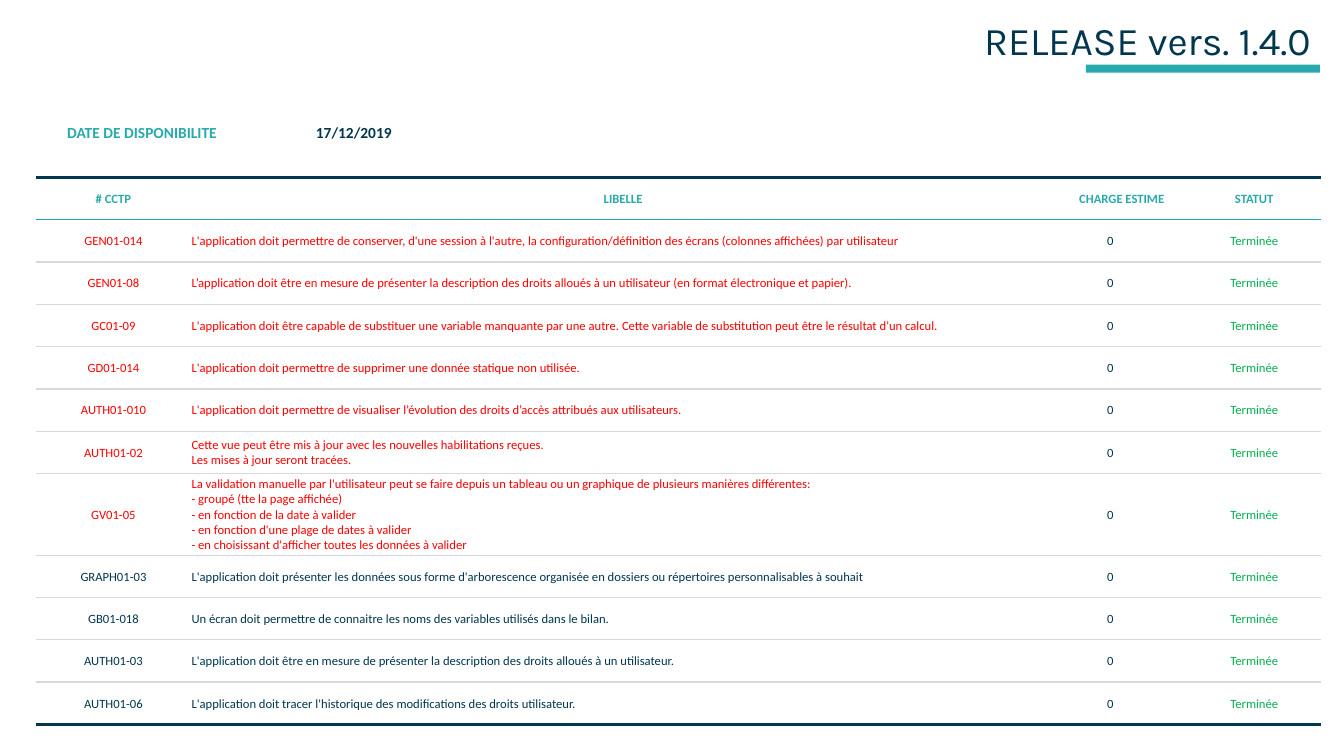
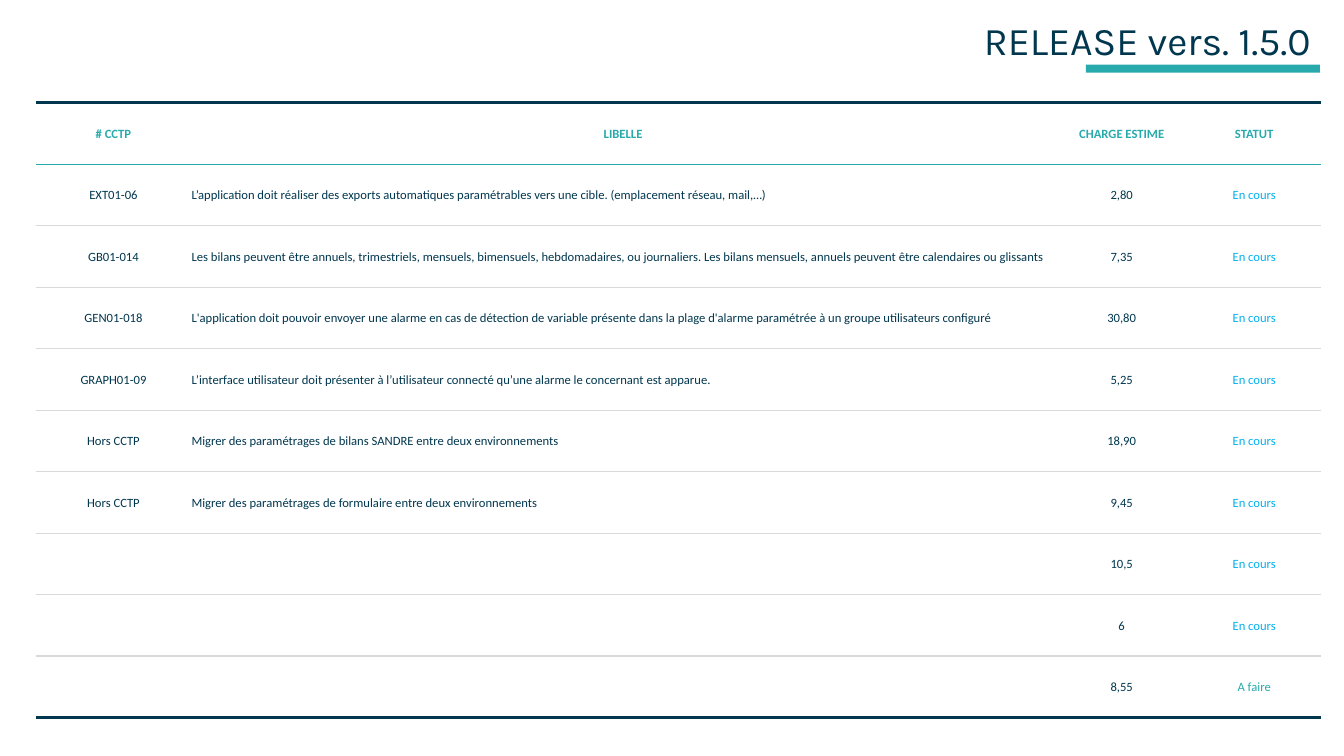
from pptx import Presentation, util as u
from pptx.dml.color import RGBColor
from pptx.enum import shapes, text
from lxml import etree

NAVY = RGBColor(0x00, 0x37, 0x4F)
TEAL = RGBColor(0x28, 0xAA, 0xAD)
RED = RGBColor(0xFF, 0x00, 0x00)
GREEN = RGBColor(0x00, 0xB0, 0x50)
BLUE = RGBColor(0x00, 0xB0, 0xF0)
GREY = RGBColor(0xD9, 0xD9, 0xD9)
WHITE = RGBColor(0xFF, 0xFF, 0xFF)

LEFT, CENTER, RIGHT = text.PP_ALIGN.LEFT, text.PP_ALIGN.CENTER, text.PP_ALIGN.RIGHT
NO_STYLE = "{2D5ABB26-0587-4C30-8999-92F81FD0307C}"

TABLE_LEFT = 0.36
COLUMNS = (1.53, 8.58, 1.31, 1.32)
HEADINGS = ("# CCTP", "LIBELLE", "CHARGE ESTIME", "STATUT")
STATUS_COLORS = {"Terminée": GREEN, "En cours": BLUE, "A faire": TEAL}
THICK, THIN = 2.25, 1

AVAILABILITY = ("DATE DE DISPONIBILITE", "17/12/2019")

HIGHLIGHTED_1_4 = [
    ("GEN01-014", "L'application doit permettre de conserver, d'une session à l'autre, la "
     "configuration/définition des écrans (colonnes affichées) par utilisateur"),
    ("GEN01-08", "L’application doit être en mesure de présenter la description des droits "
     "alloués à un utilisateur (en format électronique et papier)."),
    ("GC01-09", "L'application doit être capable de substituer une variable manquante par une "
     "autre. Cette variable de substitution peut être le résultat d’un calcul."),
    ("GD01-014", "L'application doit permettre de supprimer une donnée statique non utilisée."),
    ("AUTH01-010", "L'application doit permettre de visualiser l’évolution des droits d’accès "
     "attribués aux utilisateurs."),
    ("AUTH01-02", "Cette vue peut être mis à jour avec les nouvelles habilitations reçues.\n"
     "Les mises à jour seront tracées."),
    ("GV01-05", "La validation manuelle par l'utilisateur peut se faire depuis un tableau ou un "
     "graphique de plusieurs manières différentes:\n"
     "- groupé (tte la page affichée)\n"
     "- en fonction de la date à valider\n"
     "- en fonction d'une plage de dates à valider\n"
     "- en choisissant d'afficher toutes les données à valider"),
]
OTHERS_1_4 = [
    ("GRAPH01-03", "L'application doit présenter les données sous forme d'arborescence organisée "
     "en dossiers ou répertoires personnalisables à souhait"),
    ("GB01-018", "Un écran doit permettre de connaitre les noms des variables utilisés dans le "
     "bilan."),
    ("AUTH01-03", "L'application doit être en mesure de présenter la description des droits "
     "alloués à un utilisateur."),
    ("AUTH01-06", "L'application doit tracer l'historique des modifications des droits "
     "utilisateur."),
]
ROWS_1_4 = [(code, label, "0", "Terminée") for code, label in HIGHLIGHTED_1_4 + OTHERS_1_4]
ROWS_1_5 = [
    ("EXT01-06", "L’application doit réaliser des exports automatiques paramétrables vers une "
     "cible. (emplacement réseau, mail,…)", "2,80", "En cours"),
    ("GB01-014", "Les bilans peuvent être annuels, trimestriels, mensuels, bimensuels, "
     "hebdomadaires, ou journaliers. Les bilans mensuels, annuels peuvent être calendaires ou "
     "glissants", "7,35", "En cours"),
    ("GEN01-018", "L'application doit pouvoir envoyer une alarme en cas de détection de variable "
     "présente dans la plage d'alarme paramétrée à un groupe utilisateurs configuré",
     "30,80", "En cours"),
    ("GRAPH01-09", "L’interface utilisateur doit présenter à l’utilisateur connecté qu’une alarme "
     "le concernant est apparue.", "5,25", "En cours"),
    ("Hors CCTP", "Migrer des paramétrages de bilans SANDRE entre deux environnements",
     "18,90", "En cours"),
    ("Hors CCTP", "Migrer des paramétrages de formulaire entre deux environnements",
     "9,45", "En cours"),
    ("", "", "10,5", "En cours"),
    ("", "", "6", "En cours"),
    ("", "", "8,55", "A faire"),
]


def write(frame, content, size=9, color=NAVY, font="Calibri", bold=False, align=CENTER,
          spacing=None, indent=0):
    """Fill a text frame, one paragraph per line of content."""
    for index, line in enumerate(content.split("\n")):
        paragraph = frame.add_paragraph() if index else frame.paragraphs[0]
        paragraph.alignment = align
        paragraph.line_spacing = spacing
        if indent:
            paragraph._p.get_or_add_pPr().set("marL", str(u.Inches(indent)))
        paragraph.font.size = u.Pt(size)
        if line:
            run = paragraph.add_run()
            run.text = line
            run.font.name, run.font.size, run.font.bold = font, u.Pt(size), bold
            run.font.color.rgb = color


def add_border(cell, side, color, width):
    """Draw the top (T) or bottom (B) edge of a cell."""
    ns = "{http://schemas.openxmlformats.org/drawingml/2006/main}"
    line = etree.SubElement(cell._tc.get_or_add_tcPr(), f"{ns}ln{side}", w=str(u.Pt(width)))
    fill = etree.SubElement(line, f"{ns}solidFill")
    etree.SubElement(fill, f"{ns}srgbClr", val=str(color))


def add_grid(slide, top, columns, heights):
    """Add an unstyled table with tight, vertically centred cells."""
    frame = slide.shapes.add_table(len(heights), len(columns), u.Inches(TABLE_LEFT), u.Inches(top),
                                   u.Inches(sum(columns)), u.Inches(sum(heights)))
    table = frame.table
    table.first_row = table.horz_banding = False
    table._tbl.tblPr[0].text = NO_STYLE
    for column, width in zip(table.columns, columns):
        column.width = u.Inches(width)
    for row, height in zip(table.rows, heights):
        row.height = u.Inches(height)
    for cell in table.iter_cells():
        cell.margin_left = cell.margin_right = cell.margin_top = u.Inches(0.01)
        cell.margin_bottom = 0
        cell.vertical_anchor = text.MSO_ANCHOR.MIDDLE
    return table


def add_release_table(slide, top, row_height, rows, highlighted=0, charge_format=None):
    """List requirements; the first `highlighted` ones are red."""
    tall = 0.81
    heights = [row_height] + [tall if row[1].count("\n") > 1 else row_height for row in rows]
    table = add_grid(slide, top, COLUMNS, heights)
    edges = [(NAVY, THICK), (TEAL, THIN)] + [(GREY, THIN)] * (len(rows) - 1) + [(NAVY, THICK)]
    for r, values in enumerate([HEADINGS] + rows):
        color = RED if 0 < r <= highlighted else NAVY
        formats = [dict(color=color), dict(color=color, align=LEFT), charge_format or {},
                   dict(color=STATUS_COLORS.get(values[3], NAVY))]
        if r == 0:
            formats = [dict(color=TEAL, bold=True)] * len(HEADINGS)
        for c, value in enumerate(values):
            cell = table.cell(r, c)
            add_border(cell, "T", *edges[r])
            add_border(cell, "B", *edges[r + 1])
            cell.fill.solid()
            cell.fill.fore_color.rgb = WHITE
            write(cell.text_frame, value, **formats[c])


def add_release_slide(deck, layout, version):
    slide = deck.slides.add_slide(layout)
    bar = slide.shapes.add_shape(shapes.MSO_SHAPE.RECTANGLE, u.Inches(10.77), u.Inches(0.64),
                                 u.Inches(2.32), u.Inches(0.08))
    bar.shadow.inherit = False
    bar.fill.solid()
    bar.fill.fore_color.rgb = TEAL
    bar.line.fill.background()
    write(slide.shapes.title.text_frame, f"RELEASE vers. {version}", size=28, font="Karla",
          align=RIGHT, spacing=0.9)
    return slide


def main():
    deck = Presentation()
    deck.slide_width, deck.slide_height = u.Inches(13.33), u.Inches(7.5)

    layout = deck.slide_layouts.get_by_name("Title Only")
    title = layout.placeholders[0]
    title.left, title.top = u.Inches(2.54), 0
    title.width, title.height = u.Inches(10.56), u.Inches(0.68)
    title.text_frame.vertical_anchor = text.MSO_ANCHOR.BOTTOM
    title.text_frame.auto_size = text.MSO_AUTO_SIZE.NONE

    slide = add_release_slide(deck, layout, "1.4.0")
    add_release_table(slide, 1.76, 0.42, ROWS_1_4, highlighted=len(HIGHLIGHTED_1_4),
                      charge_format=dict(align=LEFT, indent=0.5))
    availability = add_grid(slide, 1.11, (2.1, 2.1), [0.41])
    for cell, value, color in zip(availability.iter_cells(), AVAILABILITY, (TEAL, NAVY)):
        write(cell.text_frame, value, size=11, color=color, bold=True)

    slide = add_release_slide(deck, layout, "1.5.0")
    add_release_table(slide, 1.02, 0.61, ROWS_1_5)

    deck.save("out.pptx")


if __name__ == "__main__":
    main()
